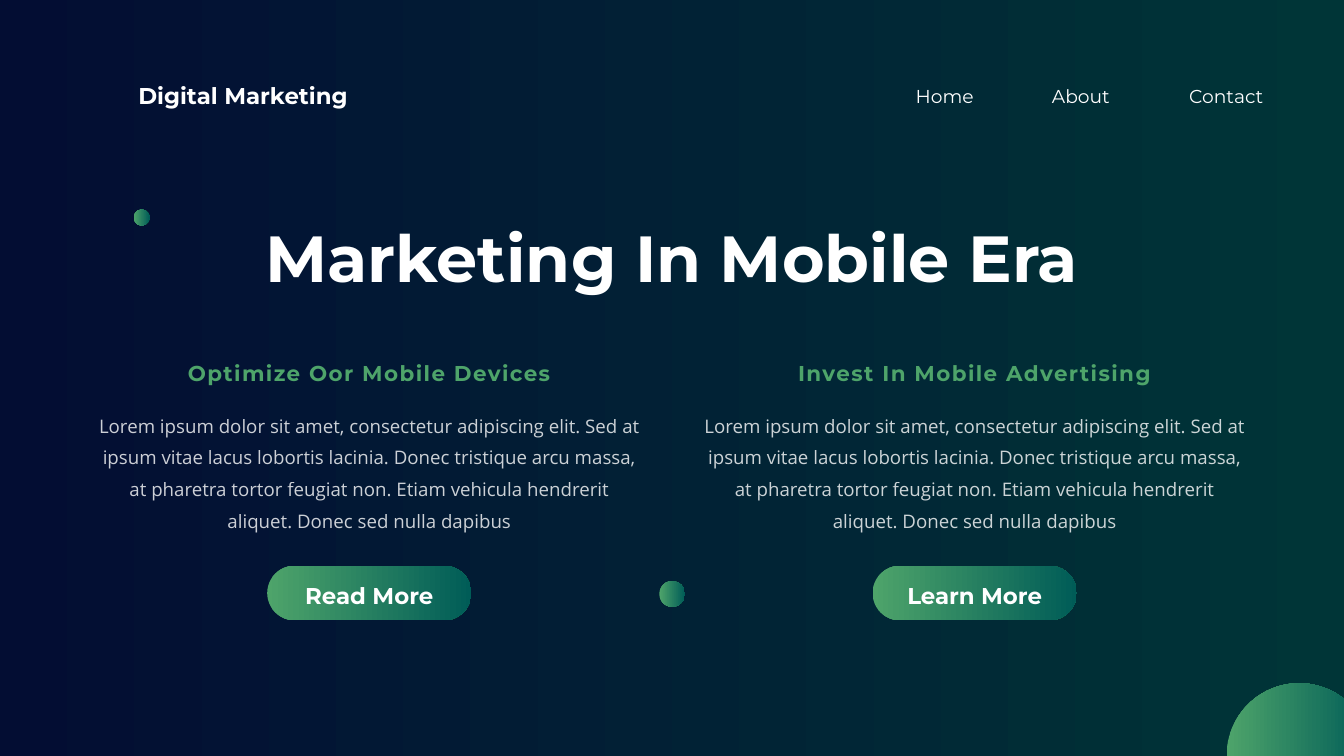
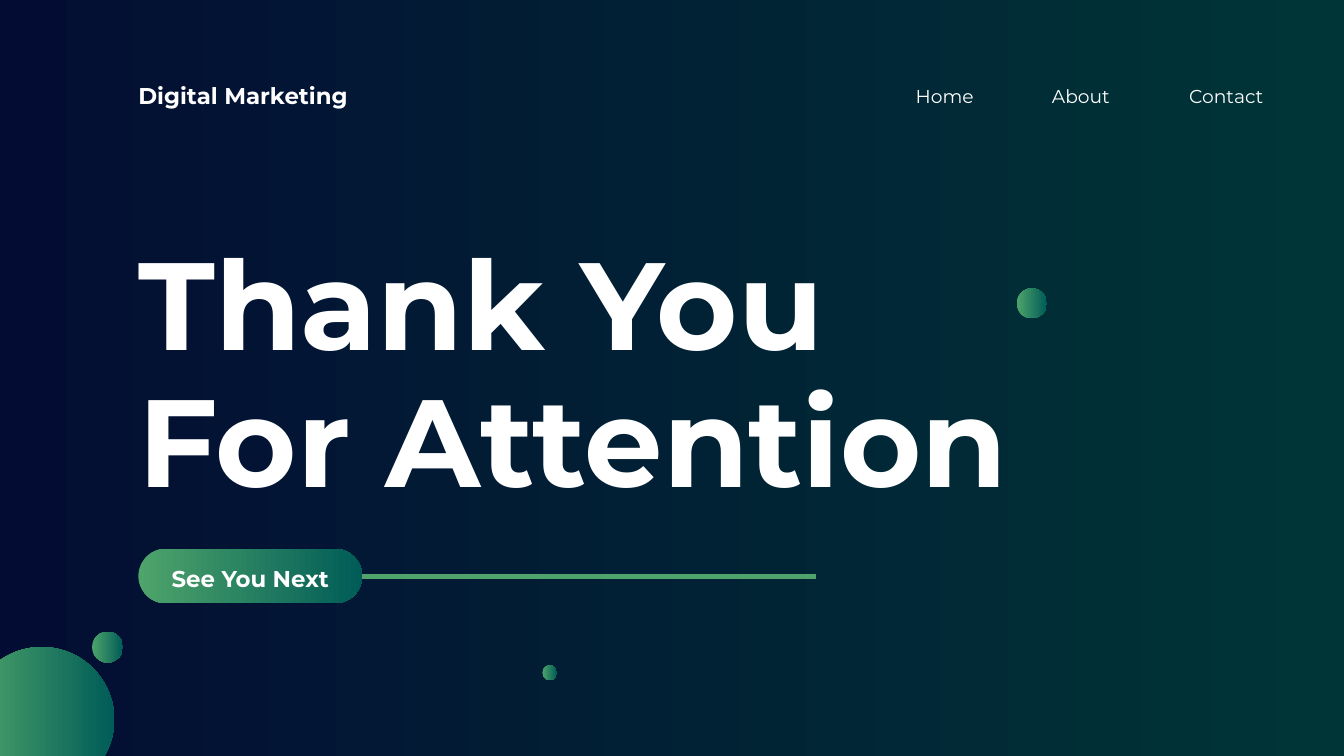
from dataclasses import dataclass

from pptx import Presentation
from pptx.dml.color import RGBColor
from pptx.enum.shapes import MSO_CONNECTOR, MSO_SHAPE
from pptx.enum.text import MSO_ANCHOR, MSO_AUTO_SIZE, PP_ALIGN
from pptx.oxml.ns import qn
from pptx.oxml.xmlchemy import OxmlElement
from pptx.shapes.autoshape import Shape
from pptx.slide import Slide
from pptx.util import Cm, Pt

WHITE = RGBColor(0xFF, 0xFF, 0xFF)
GREEN = RGBColor(0x4E, 0xA4, 0x6A)
TEAL = RGBColor(0x00, 0x5C, 0x57)
NIGHT = RGBColor(0x03, 0x0D, 0x33)
FOREST = RGBColor(0x00, 0x35, 0x37)

DISPLAY_FONT = "Montserrat"
BODY_FONT = "Open Sans"

LEFT = PP_ALIGN.LEFT
CENTER = PP_ALIGN.CENTER
TOP = MSO_ANCHOR.TOP
MIDDLE = MSO_ANCHOR.MIDDLE
GROW = MSO_AUTO_SIZE.SHAPE_TO_FIT_TEXT
FIXED = MSO_AUTO_SIZE.NONE
OVAL = MSO_SHAPE.OVAL
ROUNDED = MSO_SHAPE.ROUNDED_RECTANGLE
STRAIGHT = MSO_CONNECTOR.STRAIGHT

COMPARISON_LAYOUT = 4
TITLE_ONLY_LAYOUT = 5
RIGHT_SIDE = 3

SLIDE_WIDTH = 50.8
SLIDE_HEIGHT = 28.58
MARGIN = 5.23
COLUMN_OFFSET = 11.44
BODY_WIDTH = 20.75
BUTTON_WIDTH = 7.72
BUTTON_HEIGHT = 2.06

LOREM = (
    "Lorem ipsum dolor sit amet, consectetur adipiscing elit. Sed at "
    "ipsum vitae lacus lobortis lacinia. Donec tristique arcu massa, "
    "at pharetra tortor feugiat non. Etiam vehicula hendrerit "
    "aliquet. Donec sed nulla dapibus"
)


@dataclass(frozen=True)
class Box:
    left: float
    top: float
    width: float
    height: float

    def lengths(self) -> tuple[Cm, Cm, Cm, Cm]:
        return Cm(self.left), Cm(self.top), Cm(self.width), Cm(self.height)


@dataclass(frozen=True)
class Bubble:
    left: float
    top: float
    diameter: float


@dataclass(frozen=True)
class Column:
    center: float
    heading: str
    heading_width: float
    button: str

    def box(self, top: float, width: float, height: float) -> Box:
        return Box(self.center - width / 2, top, width, height)


NAVIGATION = {
    "Home": Box(34.42, 3.07, 2.57, 0.91),
    "About": Box(39.57, 3.07, 2.57, 0.91),
    "Contact": Box(44.75, 3.07, 3.2, 0.91),
}
COLUMNS = (
    Column(SLIDE_WIDTH / 2 - COLUMN_OFFSET, "Optimize Oor Mobile Devices", 17.2, "Read More"),
    Column(SLIDE_WIDTH / 2 + COLUMN_OFFSET, "Invest In Mobile Advertising", 15.82, "Learn More"),
)
MOBILE_BUBBLES = (
    Bubble(5.05, 7.92, 0.61),
    Bubble(24.92, 21.97, 0.97),
    Bubble(46.36, 25.83, 5.49),
)
CLOSING_BUBBLES = (
    Bubble(3.48, 23.88, 1.17),
    Bubble(20.5, 25.15, 0.56),
    Bubble(38.43, 10.9, 1.14),
    Bubble(-1.17, 24.46, 5.49),
)


def write(
    shape: Shape,
    text: str,
    *,
    size: float,
    line: float,
    font: str = DISPLAY_FONT,
    color: RGBColor = WHITE,
    bold: bool = False,
    align: PP_ALIGN = CENTER,
    anchor: MSO_ANCHOR = TOP,
    fit: MSO_AUTO_SIZE = GROW,
    tracking: float = 0,
    opacity: int = 100,
    bulleted: bool = True,
) -> None:
    frame = shape.text_frame
    frame.margin_left = frame.margin_top = frame.margin_right = frame.margin_bottom = 0
    frame.word_wrap = True
    frame.auto_size = fit
    frame.vertical_anchor = anchor
    paragraph = frame.paragraphs[0]
    paragraph.text = text
    if not bulleted:
        properties = paragraph._p.get_or_add_pPr()
        properties.set("marL", "0")
        properties.set("indent", "0")
        properties.append(OxmlElement("a:buNone"))
    paragraph.alignment = align
    paragraph.line_spacing = Pt(line)
    paragraph.space_before = Pt(0)
    for run in paragraph.runs:
        run.font.name = font
        run.font.size = Pt(size)
        run.font.bold = bold
        run.font.color.rgb = color
        if tracking:
            run._r.get_or_add_rPr().set("spc", str(round(tracking * 100)))
        if opacity < 100:
            alpha = OxmlElement("a:alpha")
            alpha.set("val", str(opacity * 1000))
            run._r.get_or_add_rPr().find(".//" + qn("a:srgbClr")).append(alpha)


def place(shape: Shape, box: Box) -> Shape:
    shape.left, shape.top, shape.width, shape.height = box.lengths()
    return shape


def blend(fill, start: RGBColor, end: RGBColor) -> None:
    fill.gradient()
    fill.gradient_angle = 0
    for stop, color in zip(fill.gradient_stops, (start, end)):
        stop.color.rgb = color


def add_green_shape(slide: Slide, preset: MSO_SHAPE, box: Box) -> Shape:
    shape = slide.shapes.add_shape(preset, *box.lengths())
    blend(shape.fill, GREEN, TEAL)
    shape.line.fill.background()
    shape.shadow.inherit = False
    return shape


def add_button(slide: Slide, label: str, box: Box) -> Shape:
    button = add_green_shape(slide, ROUNDED, box)
    button.adjustments[0] = 0.5
    write(button, label, size=24.5, line=34.4, bold=True, anchor=MIDDLE, fit=FIXED)
    return button


def add_bubbles(slide: Slide, bubbles: tuple[Bubble, ...]) -> None:
    for bubble in bubbles:
        box = Box(bubble.left, bubble.top, bubble.diameter, bubble.diameter)
        add_green_shape(slide, OVAL, box)


def add_header(slide: Slide) -> None:
    for label, box in NAVIGATION.items():
        write(slide.shapes.add_textbox(*box.lengths()), label, size=20, line=28)
    brand = slide.shapes.add_textbox(*Box(MARGIN, 2.92, 9.14, 1.14).lengths())
    write(brand, "Digital Marketing", size=24.5, line=34.4, bold=True, align=LEFT)


def add_button_line(slide: Slide, button: Shape, end: float) -> None:
    middle = button.top + button.height // 2
    rule = slide.shapes.add_connector(
        STRAIGHT, button.left + button.width, middle, Cm(end), middle
    )
    rule.begin_connect(button, RIGHT_SIDE)
    rule.line.color.rgb = GREEN
    rule.line.width = Pt(5.25)
    rule._element.spPr.append(OxmlElement("a:effectLst"))


def build_mobile_slide(slide: Slide) -> None:
    add_header(slide)
    title = place(slide.shapes.title, Box(7.54, 8.23, 35.71, 2.95))
    write(title, "Marketing In Mobile Era", size=69.8, line=83.8, bold=True)
    for index, column in enumerate(COLUMNS):
        heading = slide.placeholders[1 + 2 * index]
        body = slide.placeholders[2 + 2 * index]
        place(heading, column.box(13.44, column.heading_width, 1.09))
        write(heading, column.heading, size=23, line=32.2, color=GREEN, bold=True, tracking=1.5)
        place(body, column.box(15.32, BODY_WIDTH, 4.7))
        write(body, LOREM, size=20, line=34, font=BODY_FONT, opacity=80, bulleted=False)
        add_button(slide, column.button, column.box(21.39, BUTTON_WIDTH, BUTTON_HEIGHT))
    add_bubbles(slide, MOBILE_BUBBLES)


def build_closing_slide(slide: Slide) -> None:
    add_header(slide)
    title = place(slide.shapes.title, Box(MARGIN, 9.04, 35.23, 10.41))
    write(title, "Thank You\vFor Attention", size=133, line=146.3, bold=True, align=LEFT)
    button = add_button(slide, "See You Next", Box(MARGIN, 20.75, 8.46, BUTTON_HEIGHT))
    add_button_line(slide, button, 30.84)
    add_bubbles(slide, CLOSING_BUBBLES)


def main() -> None:
    deck = Presentation()
    deck.slide_width = Cm(SLIDE_WIDTH)
    deck.slide_height = Cm(SLIDE_HEIGHT)
    blend(deck.slide_master.background.fill, NIGHT, FOREST)
    build_mobile_slide(deck.slides.add_slide(deck.slide_layouts[COMPARISON_LAYOUT]))
    build_closing_slide(deck.slides.add_slide(deck.slide_layouts[TITLE_ONLY_LAYOUT]))
    deck.save("out.pptx")


if __name__ == "__main__":
    main()
